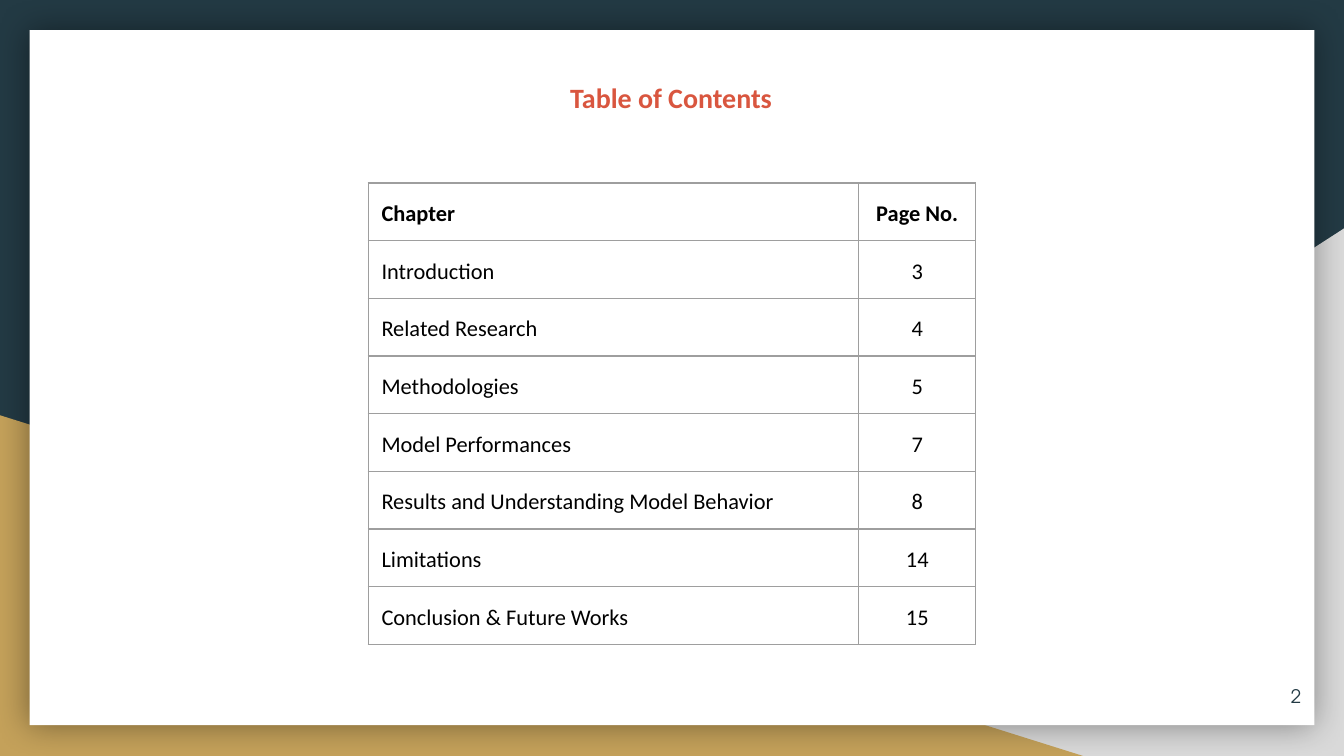
from typing import NamedTuple

from lxml.etree import SubElement
from pptx import Presentation
from pptx.dml.color import RGBColor
from pptx.enum.shapes import MSO_SHAPE
from pptx.enum.text import MSO_ANCHOR, PP_ALIGN
from pptx.oxml.ns import qn
from pptx.util import Cm, Pt

NAVY = RGBColor(0x23, 0x3A, 0x44)
GREY = RGBColor(0xD9, 0xD9, 0xD9)
GOLD = RGBColor(0xC4, 0xA1, 0x5A)
WHITE = RGBColor(0xFF, 0xFF, 0xFF)
BLACK = RGBColor(0x00, 0x00, 0x00)
RED = RGBColor(0xD9, 0x56, 0x3F)
BORDER = RGBColor(0x9E, 0x9E, 0x9E)

INSET = Cm(0.25)
ROW_HEIGHT = Cm(1.09)
COLUMN_WIDTHS = (Cm(9.27), Cm(2.21))
COLUMN_ALIGNMENTS = (PP_ALIGN.LEFT, PP_ALIGN.CENTER)


class Box(NamedTuple):
    """Left, top, width and height in centimetres."""
    left: float
    top: float
    width: float
    height: float

    def lengths(self):
        return [Cm(value) for value in self]


class Chapter(NamedTuple):
    title: str
    page: str


HEADER = Chapter("Chapter", "Page No.")
CHAPTERS = [
    Chapter("Introduction", "3"),
    Chapter("Related Research", "4"),
    Chapter("Methodologies", "5"),
    Chapter("Model Performances", "7"),
    Chapter("Results and Understanding Model Behavior", "8"),
    Chapter("Limitations", "14"),
    Chapter("Conclusion & Future Works", "15"),
]


def add_panel(slide, kind: MSO_SHAPE, box: Box, color: RGBColor):
    shape = slide.shapes.add_shape(kind, *box.lengths())
    shape.shadow.inherit = False
    shape.fill.solid()
    shape.fill.fore_color.rgb = color
    shape.line.fill.background()
    return shape


def add_glow_shadow(shape) -> None:
    """Give the shape a soft, centred shadow."""
    effects = shape._element.spPr.find(qn("a:effectLst"))
    shadow = SubElement(effects, qn("a:outerShdw"), blurRad=str(Pt(18)),
                        dist="0", dir="0", algn="ctr", rotWithShape="0")
    color = SubElement(shadow, qn("a:srgbClr"), val=str(BLACK))
    SubElement(color, qn("a:alpha"), val="40000")


def style_paragraph(paragraph, font: str, size: float, color: RGBColor,
                    alignment: PP_ALIGN, bold: bool = False) -> None:
    paragraph.alignment = alignment
    paragraph.font.name = font
    paragraph.font.size = Pt(size)
    paragraph.font.bold = bold
    paragraph.font.color.rgb = color


def add_label(slide, box: Box, text: str, font: str, size: float,
              color: RGBColor, alignment: PP_ALIGN, anchor: MSO_ANCHOR,
              bold: bool = False) -> None:
    frame = slide.shapes.add_textbox(*box.lengths()).text_frame
    frame.word_wrap = False
    frame.vertical_anchor = anchor
    frame.margin_left = frame.margin_right = INSET
    frame.margin_top = frame.margin_bottom = INSET
    frame.text = text
    style_paragraph(frame.paragraphs[0], font, size, color, alignment, bold)


def add_borders(cell) -> None:
    properties = cell._tc.get_or_add_tcPr()
    for position, side in enumerate(("lnL", "lnR", "lnT", "lnB")):
        line = SubElement(properties, qn(f"a:{side}"), w=str(Pt(0.75)))
        fill = SubElement(line, qn("a:solidFill"))
        SubElement(fill, qn("a:srgbClr"), val=str(BORDER))
        properties.insert(position, line)


def add_contents_table(slide, left: Cm, top: Cm) -> None:
    rows = [HEADER, *CHAPTERS]
    table = slide.shapes.add_table(
        len(rows), len(COLUMN_WIDTHS), left, top,
        sum(COLUMN_WIDTHS), ROW_HEIGHT * len(rows)).table
    table.horz_banding = False
    for column, width in zip(table.columns, COLUMN_WIDTHS):
        column.width = width
    for row, chapter in zip(table.rows, rows):
        row.height = ROW_HEIGHT
        for cell, text, alignment in zip(row.cells, chapter, COLUMN_ALIGNMENTS):
            cell.fill.background()
            cell.vertical_anchor = MSO_ANCHOR.MIDDLE
            cell.margin_left = cell.margin_right = INSET
            cell.margin_top = cell.margin_bottom = INSET
            cell.text = text
            paragraph = cell.text_frame.paragraphs[0]
            paragraph.line_spacing = 1.15
            style_paragraph(paragraph, "Calibri", 12, BLACK, alignment,
                            bold=chapter is HEADER)
            add_borders(cell)


def main() -> None:
    presentation = Presentation()
    presentation.slide_width = Cm(25.4)
    presentation.slide_height = Cm(14.29)
    slide = presentation.slides.add_slide(presentation.slide_layouts[6])
    slide.background.fill.solid()
    slide.background.fill.fore_color.rgb = NAVY

    grey_corner = add_panel(slide, MSO_SHAPE.RIGHT_TRIANGLE,
                            Box(9.96, 4.32, 15.44, 9.97), GREY)
    grey_corner._element.spPr.xfrm.set("flipH", "1")
    add_panel(slide, MSO_SHAPE.RIGHT_TRIANGLE, Box(0, 7.85, 20.47, 6.44), GOLD)
    page = add_panel(slide, MSO_SHAPE.RECTANGLE,
                     Box(0.56, 0.57, 24.28, 13.14), WHITE)
    add_glow_shadow(page)

    add_label(slide, Box(10.5, 1.27, 4.37, 1.14), "Table of Contents",
              "Calibri", 15, RED, PP_ALIGN.CENTER, MSO_ANCHOR.TOP, bold=True)
    add_label(slide, Box(23.32, 12.62, 1.52, 1.09), "2", "TeX Gyre Adventor",
              10, NAVY, PP_ALIGN.RIGHT, MSO_ANCHOR.MIDDLE)
    add_contents_table(slide, Cm(6.96), Cm(3.46))
    presentation.save("out.pptx")


if __name__ == "__main__":
    main()
